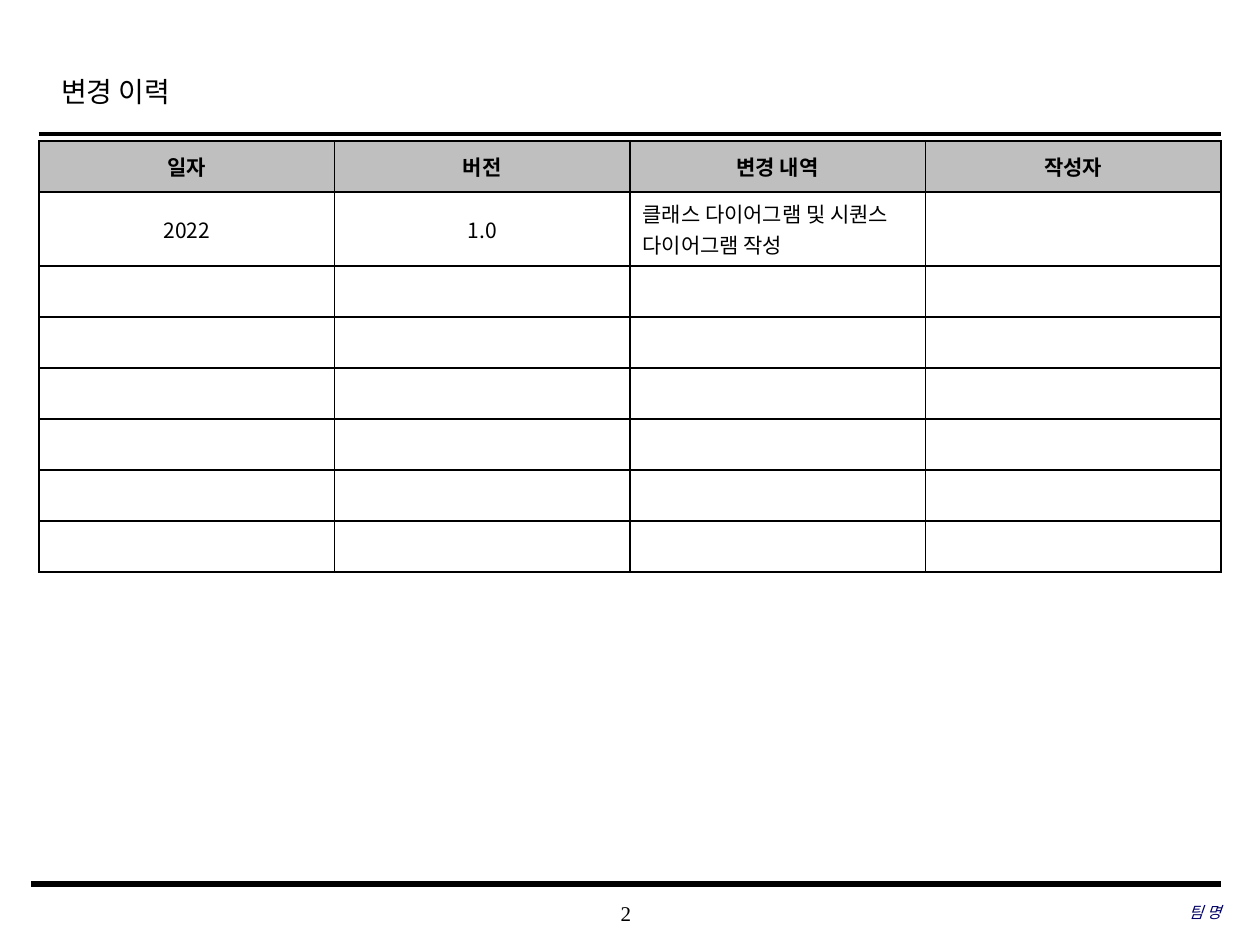
from dataclasses import dataclass

from lxml import etree
from pptx import Presentation
from pptx.dml.color import RGBColor
from pptx.enum.shapes import MSO_CONNECTOR
from pptx.enum.text import MSO_ANCHOR, PP_ALIGN
from pptx.oxml.ns import qn
from pptx.util import Emu, Pt

LEFT, CENTER, RIGHT = PP_ALIGN.LEFT, PP_ALIGN.CENTER, PP_ALIGN.RIGHT
TOP, MIDDLE = MSO_ANCHOR.TOP, MSO_ANCHOR.MIDDLE
STRAIGHT = MSO_CONNECTOR.STRAIGHT
PX = 914400 // 126


@dataclass(frozen=True)
class Theme:
    ink: str = "000000"
    accent: str = "000066"
    header: str = "BFBFBF"
    paper: str = "FFFFFF"
    serif: str = "Times New Roman"
    sans: str = "Noto Sans CJK KR"
    title: int = 16
    body: int = 12
    footer: int = 9


def px(n):
    return Emu(n * PX)


def rgb(color):
    return RGBColor.from_string(color)


class Deck:
    def __init__(self, theme, width, height):
        self.theme = theme
        self.prs = Presentation()
        self.prs.slide_width, self.prs.slide_height = px(width), px(height)
        self.s = self.prs.slides.add_slide(self.prs.slide_layouts[6])

    def style(self, p, size, font, color, align, bold=False, italic=False):
        p.alignment = align
        for r in p.runs:
            f = r.font
            f.size, f.name, f.bold, f.italic = Pt(size), font, bold, italic
            f.color.rgb = rgb(color)
            etree.SubElement(r._r.rPr, qn("a:ea"), typeface=self.theme.sans)
        if not p.runs:
            etree.SubElement(p._p, qn("a:endParaRPr"), sz=str(size * 100))

    def text(self, box, text, size, color=None, align=LEFT, anchor=MIDDLE,
             inset=(0, 0), spacing=1.0, italic=False):
        tf = self.s.shapes.add_textbox(*map(px, box)).text_frame
        tf.word_wrap, tf.vertical_anchor = True, anchor
        tf.margin_left = tf.margin_right = px(inset[0])
        tf.margin_top = tf.margin_bottom = px(inset[1])
        tf.text = text
        p = tf.paragraphs[0]
        p.line_spacing = spacing
        self.style(p, size, self.theme.serif, color or self.theme.ink, align,
                   italic=italic)

    def rule(self, x1, x2, y, width):
        sp = self.s.shapes.add_connector(STRAIGHT, px(x1), px(y), px(x2), px(y))
        sp.line.color.rgb, sp.line.width = rgb(self.theme.ink), Pt(width)
        etree.SubElement(sp._element.spPr, qn("a:effectLst"))

    def borders(self, cell):
        tcPr = cell._tc.get_or_add_tcPr()
        for side in ("lnL", "lnR", "lnT", "lnB"):
            ln = etree.SubElement(tcPr, qn(f"a:{side}"), w=str(Pt(1)))
            fill = etree.SubElement(ln, qn("a:solidFill"))
            etree.SubElement(fill, qn("a:srgbClr"), val=self.theme.ink)

    def table(self, x, y, width, rows, heights, left_col):
        t = self.theme
        # add_table shares the width equally among the columns
        tbl = self.s.shapes.add_table(
            len(rows), len(rows[0]), px(x), px(y), px(width),
            px(sum(heights))).table
        for i, (row, height) in enumerate(zip(rows, heights)):
            tbl.rows[i].height = px(height)
            for j, value in enumerate(row):
                cell, head = tbl.cell(i, j), i == 0
                self.borders(cell)
                cell.fill.solid()
                cell.fill.fore_color.rgb = rgb(t.header if head else t.paper)
                cell.vertical_anchor = MIDDLE
                cell.text_frame.text = value
                align = LEFT if j == left_col and not head else CENTER
                self.style(cell.text_frame.paragraphs[0], t.body, t.sans,
                           t.ink, align, bold=head)


def main():
    theme = Theme()
    d = Deck(theme, 1260, 945)

    # Heading and rules
    d.rule(39, 1221, 134, 2.5)
    d.rule(31, 1221, 884, 3)
    d.text((49, 62, 951, 63), "변경 이력", theme.title, anchor=TOP,
           inset=(12, 6), spacing=1.2)

    # Change history: the first entry wraps onto two lines
    history = [
        ["일자", "버전", "변경 내역", "작성자"],
        ["2022", "1.0", "클래스 다이어그램 및 시퀀스 다이어그램 작성", ""],
    ]
    history += [[""] * 4 for _ in range(6)]
    d.table(39, 141, 1182, history, heights=[51, 74] + [51] * 6, left_col=2)

    # Footer
    d.text((495, 892, 262, 42), "2", theme.body, align=CENTER)
    d.text((835, 891, 386, 42), "팀 명", theme.footer, theme.accent,
           align=RIGHT, italic=True)

    d.prs.save("out.pptx")


if __name__ == "__main__":
    main()
